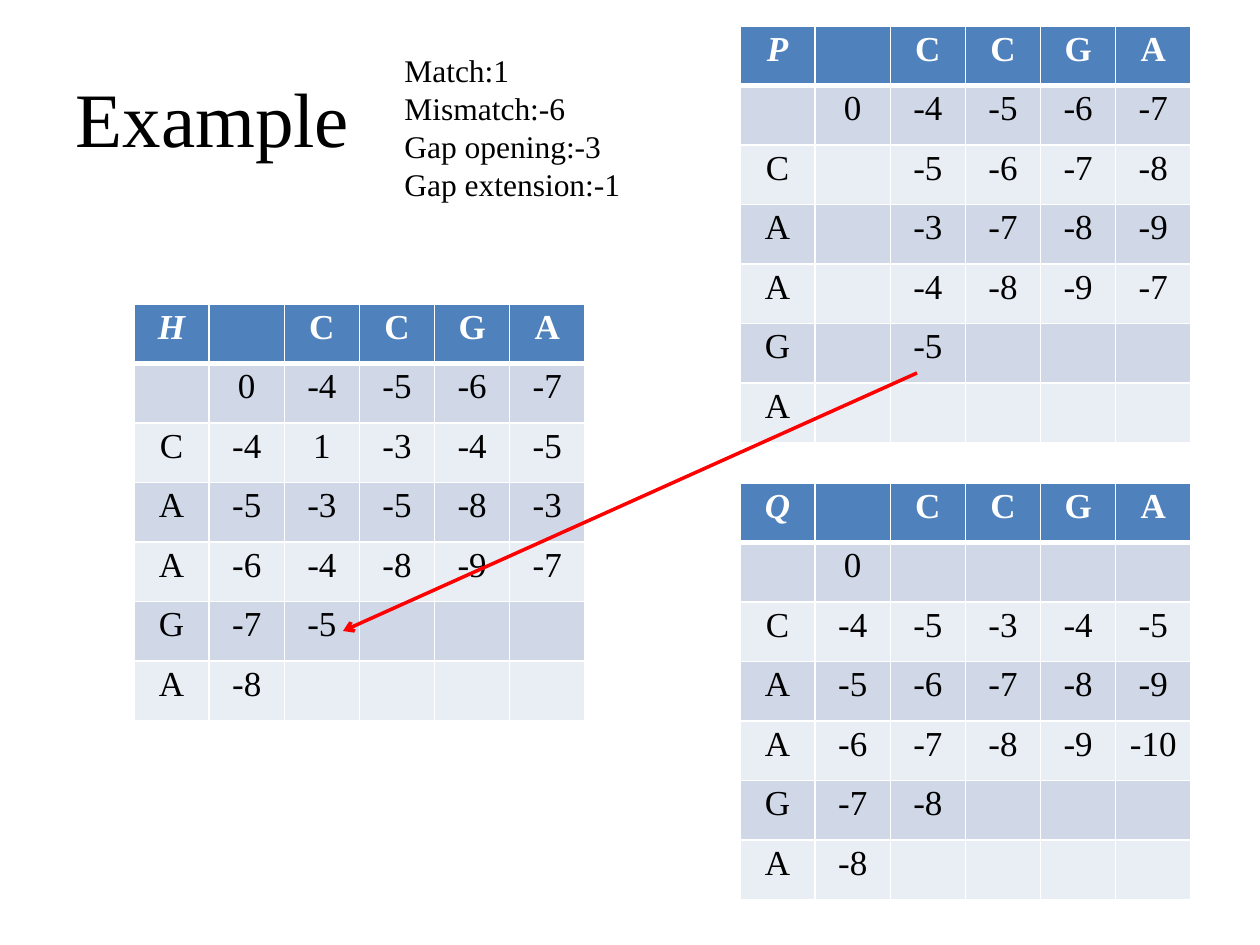
from lxml import etree
from pptx import Presentation
from pptx.dml.color import RGBColor as RGB
from pptx.enum.shapes import MSO_CONNECTOR as Conn
from pptx.enum.text import MSO_ANCHOR as Anchor, MSO_AUTO_SIZE as Auto, PP_ALIGN as Align
from pptx.oxml import parse_xml
from pptx.oxml.ns import nsdecls, qn
from pptx.util import Pt

PX = 914400 / 126
FACE = "Times New Roman"
BLACK, WHITE = RGB(0, 0, 0), RGB(255, 255, 255)
BLUE, RED = RGB(0x4F, 0x81, 0xBD), RGB(255, 0, 0)
BANDS = [RGB(0xE9, 0xED, 0xF4), RGB(0xD0, 0xD8, 0xE8)]


def box(*nums):
    return [round(n * PX) for n in nums]


def style(font, size, color=BLACK, **more):
    font.color.rgb = color
    for key, val in {"name": FACE, "size": Pt(size), **more}.items():
        setattr(font, key, val)


deck = Presentation()
deck.slide_width, deck.slide_height = box(1260, 945)
slide = deck.slides.add_slide(deck.slide_layouts[5])
shapes = slide.shapes

# Title
title = shapes.title
title.left, title.top, title.width, title.height = box(63, 38, 1134, 158)
title.text_frame.text = "Example"
title.text_frame.vertical_anchor = Anchor.MIDDLE
head = title.text_frame.paragraphs[0]
head.alignment = Align.LEFT
style(head.font, 44)

# Scoring rules
rules = shapes.add_textbox(*box(392, 45, 243, 165)).text_frame
rules.word_wrap = False
rules.auto_size = Auto.SHAPE_TO_FIT_TEXT
rules.text = "Match:1\nMismatch:-6\nGap opening:-3\nGap extension:-1"
for para in rules.paragraphs:
    style(para.font, 18)

# Score tables: name, left, top, and the values beside each row letter
TOP, SIDE = ["", "C", "C", "G", "A"], ["", "C", "A", "A", "G", "A"]
START = [0, -4, -5, -6, -7]
GRIDS = [
    ("H", 134, 304, [START, [-4, 1, -3, -4, -5], [-5, -3, -5, -8, -3],
                     [-6, -4, -8, -9, -7], [-7, -5], [-8]]),
    ("P", 740, 26, [START, ["", -5, -6, -7, -8], ["", -3, -7, -8, -9],
                    ["", -4, -8, -9, -7], ["", -5], []]),
    ("Q", 740, 483, [[0], [-4, -5, -3, -4, -5], [-5, -6, -7, -8, -9],
                     [-6, -7, -8, -9, -10], [-7, -8], [-8]]),
]
PAD_X, PAD_Y = box(8, 4)
PADS = {"margin_left": PAD_X, "margin_right": PAD_X,
        "margin_top": PAD_Y, "margin_bottom": PAD_Y}

for name, left, top, vals in GRIDS:
    rows = [[name, *TOP]] + [[side, *row] for side, row in zip(SIDE, vals)]
    grid = shapes.add_table(len(rows), len(rows[0]), *box(left, top, 451, 417)).table
    for r, row in enumerate(rows):
        for c in range(len(rows[0])):
            cell = grid.cell(r, c)
            for key, val in PADS.items():
                setattr(cell, key, val)
            # White borders, thick under the header
            thick = {"T": r == 1, "B": r == 0}
            for edge in "LRTB":
                wide = Pt(3 if thick.get(edge) else 1)
                cell._tc.get_or_add_tcPr().append(parse_xml(
                    f'<a:ln{edge} {nsdecls("a")} w="{wide}"><a:solidFill>'
                    f'<a:srgbClr val="{WHITE}"/></a:solidFill></a:ln{edge}>'))
            cell.fill.solid()
            cell.fill.fore_color.rgb = BANDS[r % 2] if r else BLUE
            cell.text = str(row[c]) if c < len(row) else ""
            para = cell.text_frame.paragraphs[0]
            para.alignment = Align.CENTER
            style(para.font, 20, BLACK if r else WHITE,
                  bold=r == 0, italic=r == 0 and c == 0)

# Arrow from P to H
arrow = shapes.add_connector(Conn.STRAIGHT, *box(917, 373, 343, 631))
arrow.line.color.rgb = RED
arrow.line.width = Pt(2)
etree.SubElement(arrow.line._get_or_add_ln(), qn("a:tailEnd"), type="arrow")
etree.SubElement(arrow._element.spPr, qn("a:effectLst"))

deck.save("out.pptx")
